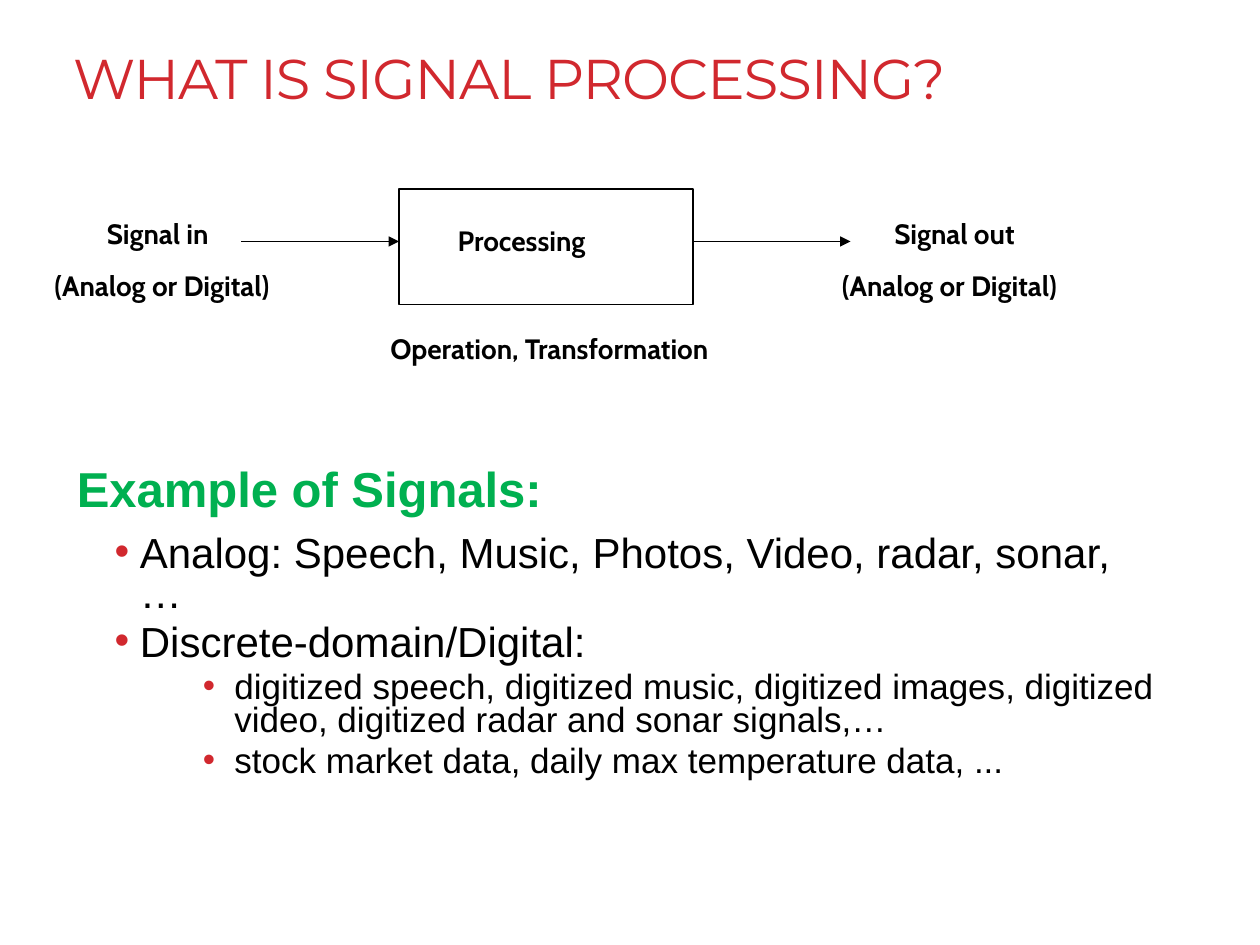
from lxml import etree
from pptx import Presentation
from pptx.dml.color import RGBColor
from pptx.enum.shapes import MSO_CONNECTOR, MSO_SHAPE
from pptx.enum.text import MSO_ANCHOR, MSO_AUTO_SIZE, PP_ALIGN
from pptx.oxml.ns import qn
from pptx.util import Pt

STRAIGHT = MSO_CONNECTOR.STRAIGHT
RECTANGLE = MSO_SHAPE.RECTANGLE
BOTTOM = MSO_ANCHOR.BOTTOM
NO_AUTOFIT = MSO_AUTO_SIZE.NONE
LEFT = PP_ALIGN.LEFT

COLORS = {"red": "D1282E", "green": "00B050", "black": "000000"}
LINE_WIDTH = 0.75
LABEL_HEIGHT = 26.6

# Left margin, hanging indent and text size of each bullet level
BULLET_LEVELS = {1: (36, -14.4, 24), 2: (90, -18, 20)}


def color(name):
    return RGBColor.from_string(COLORS[name])


class SlideBuilder:
    """Holds the fonts and the current slide, and adds its elements."""

    title_font, body_font, label_font = "Montserrat", "Arial", "Cabin"

    def __init__(self, slide):
        self.slide = slide

    def place(self, box, left, top, width, height):
        box.left, box.top = Pt(left), Pt(top)
        box.width, box.height = Pt(width), Pt(height)
        box.text_frame.word_wrap = True
        box.text_frame.auto_size = NO_AUTOFIT
        return box.text_frame

    def run(self, para, text, font, size, tint="black", bold=False):
        span = para.add_run()
        span.text = text
        span.font.name, span.font.size, span.font.bold = font, Pt(size), bold
        span.font.color.rgb = color(tint)
        return span

    def title(self, text, *place):
        frame = self.place(self.slide.shapes.title, *place)
        frame.vertical_anchor = BOTTOM
        para = frame.paragraphs[0]
        para.alignment = LEFT
        span = self.run(para, text, self.title_font, 32, "red")
        span.font._element.set("spc", "-60")

    def body(self, heading, items, *place):
        frame = self.place(self.slide.placeholders[1], *place)
        para = frame.paragraphs[0]
        para.line_spacing = 0.8
        para.space_after = Pt(6)
        self.bullet(para, 0, 0)
        self.run(para, heading, self.body_font, 28, "green", True)
        for level, text in items:
            margin, indent, size = BULLET_LEVELS[level]
            para = frame.add_paragraph()
            para.level = level
            para.line_spacing = 0.8
            self.bullet(para, margin, indent, "•")
            self.run(para, text, self.body_font, size)

    def bullet(self, para, margin, indent, mark=None):
        properties = para._p.get_or_add_pPr()
        properties.set("marL", str(Pt(margin)))
        properties.set("indent", str(Pt(indent)))
        if mark is None:
            etree.SubElement(properties, qn("a:buNone"))
            return
        tint = etree.SubElement(properties, qn("a:buClr"))
        etree.SubElement(tint, qn("a:srgbClr"), val=COLORS["red"])
        etree.SubElement(properties, qn("a:buFont"), typeface=self.body_font)
        etree.SubElement(properties, qn("a:buChar"), char=mark)

    def label(self, text, left, top, width):
        box = self.slide.shapes.add_textbox(0, 0, 0, 0)
        frame = self.place(box, left, top, width, LABEL_HEIGHT)
        self.run(frame.paragraphs[0], text, self.label_font, 16, bold=True)

    def block(self, left, top, width, height):
        box = self.slide.shapes.add_shape(
            RECTANGLE, Pt(left), Pt(top), Pt(width), Pt(height))
        box.shadow.inherit = False
        box.fill.background()
        box.line.color.rgb = color("black")
        box.line.width = Pt(LINE_WIDTH)

    def arrow(self, start, end, y):
        line = self.slide.shapes.add_connector(
            STRAIGHT, Pt(start), Pt(y), Pt(end), Pt(y))
        line.line.color.rgb = color("black")
        line.line.width = Pt(LINE_WIDTH)
        etree.SubElement(line.line._get_or_add_ln(), qn("a:tailEnd"), type="triangle")
        etree.SubElement(line._element.spPr, qn("a:effectLst"))


def main():
    deck = Presentation()
    deck.slide_width, deck.slide_height = Pt(720), Pt(540)
    page = SlideBuilder(deck.slides.add_slide(deck.slide_layouts[1]))

    # Title and list
    page.title("WHAT IS SIGNAL PROCESSING?", 34.6, 18, 606, 49)
    page.body("Example of Signals:", [
        (1, "Analog: Speech, Music, Photos, Video, radar, sonar, …"),
        (1, "Discrete-domain/Digital:"),
        (2, "digitized speech, digitized music, digitized images, "
            "digitized video, digitized radar and sonar signals,…"),
        (2, "stock market data, daily max temperature data, ..."),
    ], 36.7, 265, 632.5, 202)

    # Processing block with an arrow of equal length on each side
    block_left, block_width, arrow_length, arrow_y = 228, 168, 90, 138
    block_right = block_left + block_width
    page.block(block_left, 108, block_width, 66)
    page.arrow(block_left - arrow_length, block_left, arrow_y)
    page.arrow(block_right, block_right + arrow_length, arrow_y)
    page.label("Processing", 254.4, 124.4, 106)
    page.label("Operation, Transformation", 216, 186, 229)

    # Input and output labels
    for text, left in (("Signal in", 54), ("Signal out", 504)):
        page.label(text, left, 120, 96)
        page.label("(Analog or Digital)", left - 30, 150, 164)

    deck.save("out.pptx")


if __name__ == "__main__":
    main()
